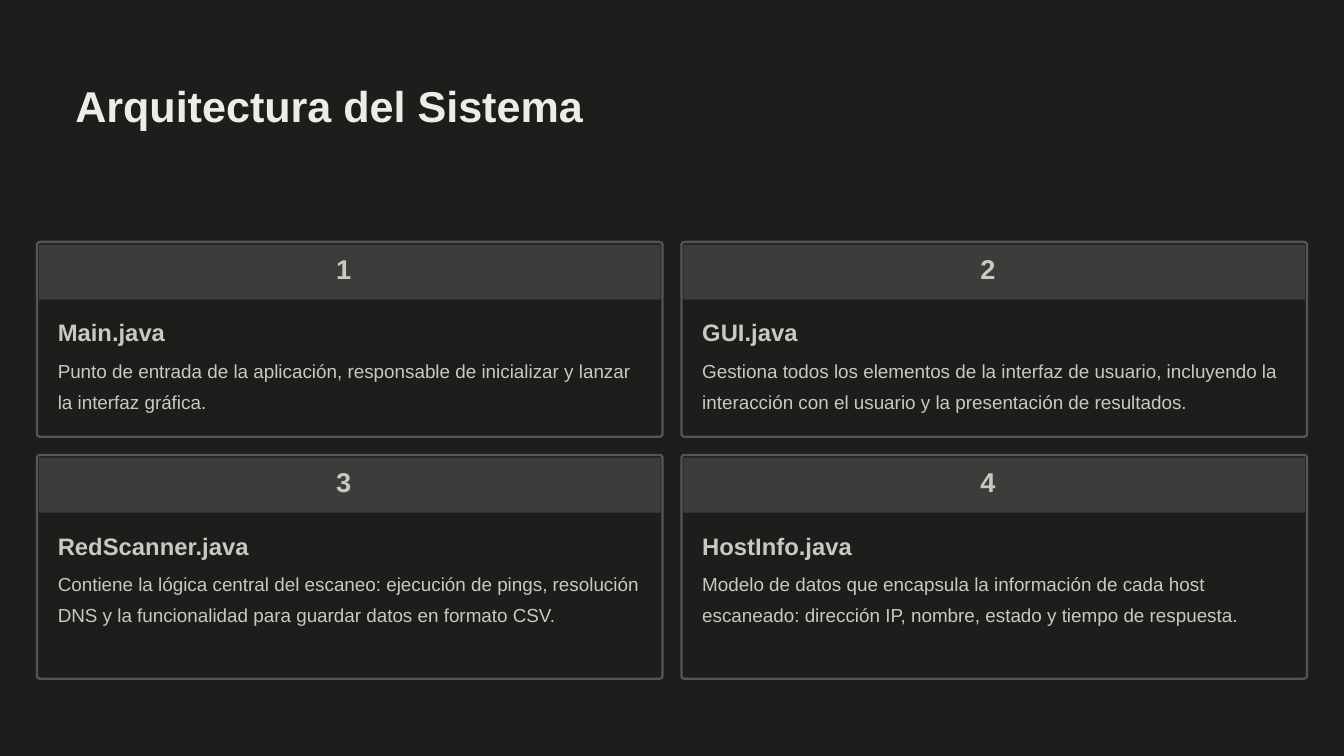
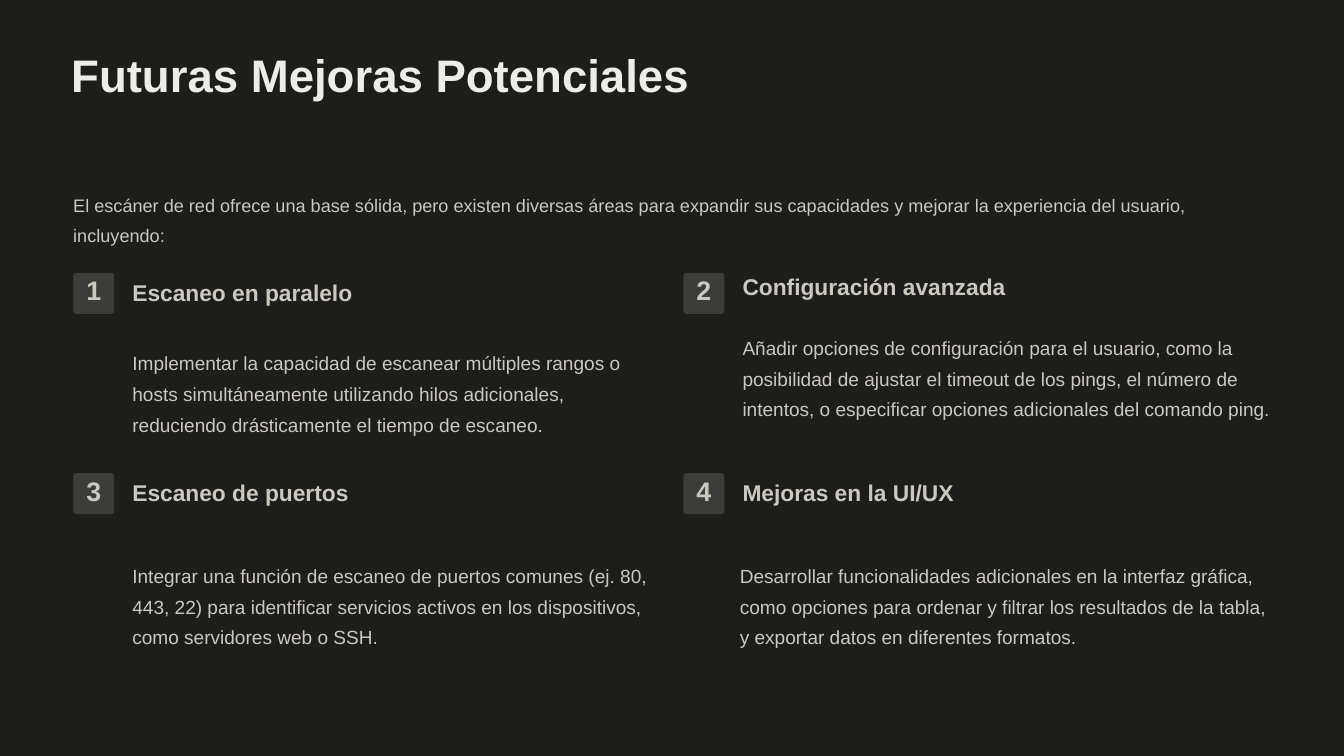
from pptx import Presentation
from pptx.dml.color import RGBColor
from pptx.enum.shapes import MSO_SHAPE
from pptx.enum.text import MSO_ANCHOR, MSO_AUTO_SIZE, PP_ALIGN
from pptx.util import Inches, Pt

COLORS = {
    "back": "1D1D1B",
    "band": "3C3C3A",
    "edge": "555553",
    "title": "EDEDE8",
    "body": "C9C9C0",
}
FONT = "Arial"
ROUND = 0.045

CARDS = [
    ("Main.java", "Punto de entrada de la aplicación, responsable de inicializar "
     "y lanzar la interfaz gráfica."),
    ("GUI.java", "Gestiona todos los elementos de la interfaz de usuario, incluyendo "
     "la interacción con el usuario y la presentación de resultados."),
    ("RedScanner.java", "Contiene la lógica central del escaneo: ejecución de pings, "
     "resolución DNS y la funcionalidad para guardar datos en formato CSV."),
    ("HostInfo.java", "Modelo de datos que encapsula la información de cada host "
     "escaneado: dirección IP, nombre, estado y tiempo de respuesta."),
]
INTRO = ("El escáner de red ofrece una base sólida, pero existen diversas áreas para "
         "expandir sus capacidades y mejorar la experiencia del usuario, incluyendo:")
# head offset, body left offset, body top offset
PLANS = [
    ("Escaneo en paralelo", "Implementar la capacidad de escanear múltiples rangos o "
     "hosts simultáneamente utilizando hilos adicionales, reduciendo drásticamente el "
     "tiempo de escaneo.", 0.08, 0.88, 1.06),
    ("Configuración avanzada", "Añadir opciones de configuración para el usuario, como "
     "la posibilidad de ajustar el timeout de los pings, el número de intentos, o "
     "especificar opciones adicionales del comando ping.", -0.01, 0.88, 0.83),
    ("Escaneo de puertos", "Integrar una función de escaneo de puertos comunes (ej. 80, "
     "443, 22) para identificar servicios activos en los dispositivos, como servidores "
     "web o SSH.", 0.08, 0.88, 1.24),
    ("Mejoras en la UI/UX", "Desarrollar funcionalidades adicionales en la interfaz "
     "gráfica, como opciones para ordenar y filtrar los resultados de la tabla, y "
     "exportar datos en diferentes formatos.", 0.08, 0.84, 1.24),
]


def color(name):
    return RGBColor.from_string(COLORS[name])


def write(shape, text, size, lead, tint="body", bold=False, align=PP_ALIGN.LEFT):
    frame = shape.text_frame
    frame.word_wrap = True
    frame.auto_size = MSO_AUTO_SIZE.NONE
    frame.vertical_anchor = MSO_ANCHOR.TOP
    frame.margin_left = frame.margin_right = 0
    frame.margin_top = frame.margin_bottom = 0
    para = frame.paragraphs[0]
    para.alignment = align
    para.line_spacing = Pt(lead)
    run = para.add_run()
    run.text = text
    font = run.font
    font.name, font.size, font.bold = FONT, Pt(size), bold
    font.color.rgb = color(tint)


def label(slide, box, *args, **style):
    write(slide.shapes.add_textbox(*map(Inches, box)), *args, **style)


def panel(slide, box, fill, edge=None, kind=MSO_SHAPE.ROUNDED_RECTANGLE):
    shape = slide.shapes.add_shape(kind, *map(Inches, box))
    shape.shadow.inherit = False
    shape.fill.solid()
    shape.fill.fore_color.rgb = color(fill)
    if edge:
        shape.line.color.rgb = color(edge)
        shape.line.width = Pt(2.5)
    else:
        shape.line.fill.background()
    if kind == MSO_SHAPE.ROUNDED_RECTANGLE:
        shape.adjustments[0] = ROUND / min(box[2:])


def start(deck, text, box, size, lead):
    slide = deck.slides.add_slide(deck.slide_layouts[5])
    title = slide.shapes.title
    title.left, title.top, title.width, title.height = map(Inches, box)
    write(title, text, size, lead, "title", True)
    return slide


def card(slide, box, num, head, text):
    left, top, width, _ = box
    panel(slide, box, "back", "edge")
    panel(slide, (left + 0.03, top + 0.04, width - 0.06, 0.82), "band",
          kind=MSO_SHAPE.RECTANGLE)
    label(slide, (left + 4.45, top + 0.24, 0.41, 0.46), str(num), 29.1, 29.1, bold=True)
    label(slide, (left + 0.31, top + 1.12, 3.41, 0.43), head, 25.5, 31.7, bold=True)
    label(slide, (left + 0.31, top + 1.64, 8.7, 0.86), text, 20.2, 32.8)


def plan(slide, left, top, num, head, text, rise, inset, drop):
    panel(slide, (left, top, 0.61, 0.61), "band")
    label(slide, (left + 0.1, top + 0.1, 0.41, 0.46), str(num), 28.7, 28.7,
          bold=True, align=PP_ALIGN.CENTER)
    label(slide, (left + 0.88, top + rise, 4.63, 0.41), head, 24.4, 30, bold=True)
    label(slide, (left + inset, top + drop, 7.86, 1.31), text, 20.4, 32.9)


def system(deck):
    slide = start(deck, "Arquitectura del Sistema", (1.12, 1.16, 8.1, 0.83), 46.2, 57.5)
    for i, item in enumerate(CARDS):
        row, col = divmod(i, 2)
        box = (0.55 + 9.59 * col, 3.6 + 3.17 * row, 9.31, (2.9, 3.33)[row])
        card(slide, box, i + 1, *item)


def future(deck):
    slide = start(deck, "Futuras Mejoras Potenciales", (1.06, 0.67, 9.67, 0.88), 48.8, 60.6)
    label(slide, (1.09, 2.79, 17.83, 0.96), INTRO, 19.4, 31.2)
    for i, item in enumerate(PLANS):
        row, col = divmod(i, 2)
        plan(slide, 1.09 + 9.08 * col, 4.06 + 2.98 * row, i + 1, *item)


def main():
    deck = Presentation()
    deck.slide_width, deck.slide_height = Inches(20), Inches(11.25)
    back = deck.slide_master.background.fill
    back.solid()
    back.fore_color.rgb = color("back")
    system(deck)
    future(deck)
    deck.save("out.pptx")


if __name__ == "__main__":
    main()
